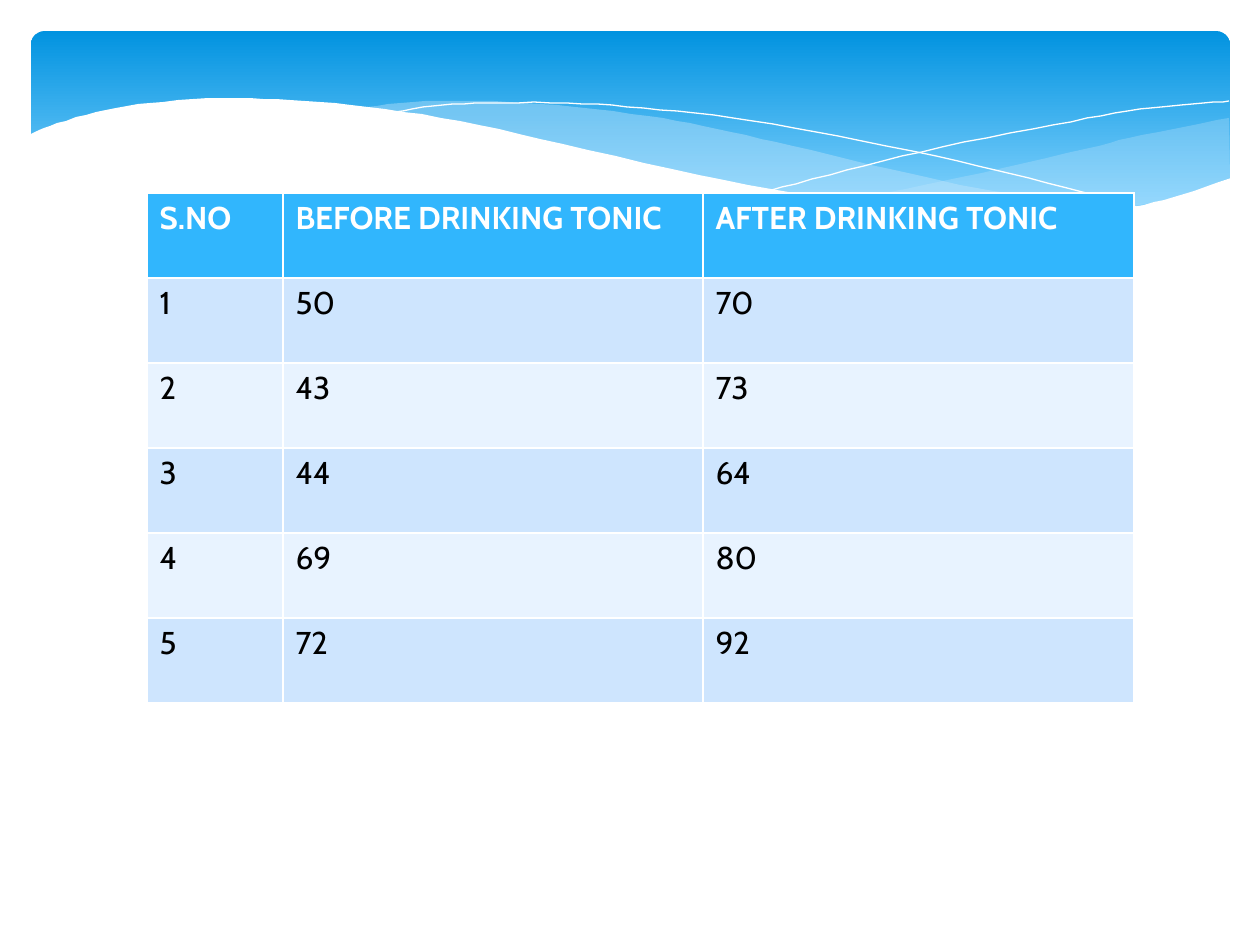
from lxml.etree import SubElement
from pptx import Presentation
from pptx.dml.color import RGBColor
from pptx.enum.shapes import MSO_SHAPE
from pptx.oxml.ns import qn
from pptx.util import Emu, Pt

SCALE = 914400 / 126  # EMU in one px
FONT = "Cabin"
WHITE = RGBColor(0xFF, 0xFF, 0xFF)
BLACK = RGBColor(0x00, 0x00, 0x00)
DEEP = RGBColor(0x02, 0x93, 0xE0)
LIGHT = RGBColor(0x83, 0xD3, 0xFE)
MIST = RGBColor(0xC6, 0xE7, 0xFC)
HEAD = RGBColor(0x31, 0xB6, 0xFD)
BANDS = [RGBColor(0xCE, 0xE5, 0xFE), RGBColor(0xE8, 0xF3, 0xFF)]

# Knots of the curves, in px from the corner of the banner
RIGHT_TOP = [(1198, 87), (1111, 104), (1054, 118), (951, 142), (859, 161),
             (802, 171)]
RIGHT_LOW = [(802, 171), (891, 181), (981, 186), (1045, 183), (1109, 174),
             (1156, 163), (1199, 147)]
LEFT_TOP = [(329, 77), (382, 71), (448, 70), (526, 74), (617, 85), (686, 98),
            (762, 115), (859, 138), (946, 157), (1024, 169), (1094, 179)]
LEFT_LOW = [(1094, 179), (1049, 184), (986, 187), (911, 183), (826, 174),
            (726, 158), (637, 139), (535, 115), (452, 96), (376, 82), (329, 77)]
FALL = [(358, 82), (402, 75), (457, 72), (536, 72), (612, 77), (702, 87),
        (807, 105), (927, 130), (1016, 152), (1112, 178)]
RISE = [(741, 159), (816, 139), (911, 116), (1022, 94), (1097, 80), (1151, 74),
        (1198, 70)]
EDGE = [(1200, 147), (1153, 163), (1102, 176), (1040, 183), (968, 184),
        (884, 179), (785, 166), (668, 144), (532, 113), (429, 90), (337, 76),
        (259, 69), (192, 67), (119, 72), (65, 81), (19, 95), (-2, 104)]
FLOOR = [(-2, 251), (1200, 251)]

ROWS = [
    ("S.NO", "BEFORE DRINKING TONIC", "AFTER DRINKING TONIC"),
    ("1", "50", "70"),
    ("2", "43", "73"),
    ("3", "44", "64"),
    ("4", "69", "80"),
    ("5", "72", "92"),
]


def px(n):
    return Emu(round(n * SCALE))


def smooth(knots, steps=5):
    """Points of a Catmull-Rom curve through the knots."""
    ends = [knots[0], *knots, knots[-1]]
    points = [knots[0]]
    for a, b, c, d in zip(ends, ends[1:], ends[2:], ends[3:]):
        for step in range(1, steps + 1):
            t = step / steps
            points.append(tuple(
                (2 * q + (r - p) * t + (2 * p - 5 * q + 4 * r - s) * t ** 2
                 + (3 * q - p - 3 * r + s) * t ** 3) / 2
                for p, q, r, s in zip(a, b, c, d)))
    return points


def draw(slide, left, top, points, close):
    pen = slide.shapes.build_freeform(*points[0], scale=SCALE)
    pen.add_line_segments(points[1:], close=close)
    shape = pen.convert_to_shape(px(left), px(top))
    shape.shadow.inherit = False
    return shape


def add_wave(slide, left, top, points, color, alpha=100):
    wave = draw(slide, left, top, points, True)
    wave.fill.solid()
    wave.fill.fore_color.rgb = color
    wave.line.fill.background()
    if alpha < 100:
        tint = wave.fill._xPr.find(".//" + qn("a:srgbClr"))
        SubElement(tint, qn("a:alpha"), val=str(alpha * 1000))


def add_banner(slide, left, top, width, height):
    # Blue panel
    panel = slide.shapes.add_shape(MSO_SHAPE.ROUNDED_RECTANGLE, px(left),
                                   px(top), px(width), px(height))
    panel.adjustments[0] = 0.07
    panel.shadow.inherit = False
    panel.line.fill.background()
    panel.fill.gradient()
    panel.fill.gradient_angle = 270
    for stop, color, place in zip(panel.fill.gradient_stops,
                                  (DEEP, LIGHT), (0, 0.9)):
        stop.color.rgb = color
        stop.position = place

    # Pale waves
    add_wave(slide, left, top, smooth(RIGHT_TOP) + smooth(RIGHT_LOW), MIST, 29)
    add_wave(slide, left, top, smooth(LEFT_TOP) + smooth(LEFT_LOW), MIST, 40)

    # Thin crossing lines
    for knots in (FALL, RISE):
        line = draw(slide, left, top, smooth(knots), False)
        line.fill.background()
        line.line.color.rgb = WHITE
        line.line.width = Pt(0)

    # White edge over the foot of the panel
    add_wave(slide, left, top, smooth(EDGE) + FLOOR, WHITE)


def add_scores(slide, left, top, widths, height):
    grid = slide.shapes.add_table(
        len(ROWS), len(widths), px(left), px(top), px(sum(widths)),
        px(height * len(ROWS))).table
    for col, width in zip(grid.columns, widths):
        col.width = px(width)
    for i, row in enumerate(ROWS):
        grid.rows[i].height = px(height)
        for j, text in enumerate(row):
            cell = grid.cell(i, j)
            cell.text = text
            cell.fill.solid()
            cell.fill.fore_color.rgb = BANDS[(i - 1) % 2] if i else HEAD
            font = cell.text_frame.paragraphs[0].font
            font.name = FONT
            font.size = Pt(18)
            font.bold = i == 0
            font.color.rgb = BLACK if i else WHITE


def main():
    deck = Presentation()
    deck.slide_width, deck.slide_height = px(1260), px(945)
    slide = deck.slides.add_slide(deck.slide_layouts[6])
    add_banner(slide, 31, 31, 1199, 197)
    add_scores(slide, 147, 193, (136, 420, 431), 85)
    deck.save("out.pptx")


if __name__ == "__main__":
    main()
